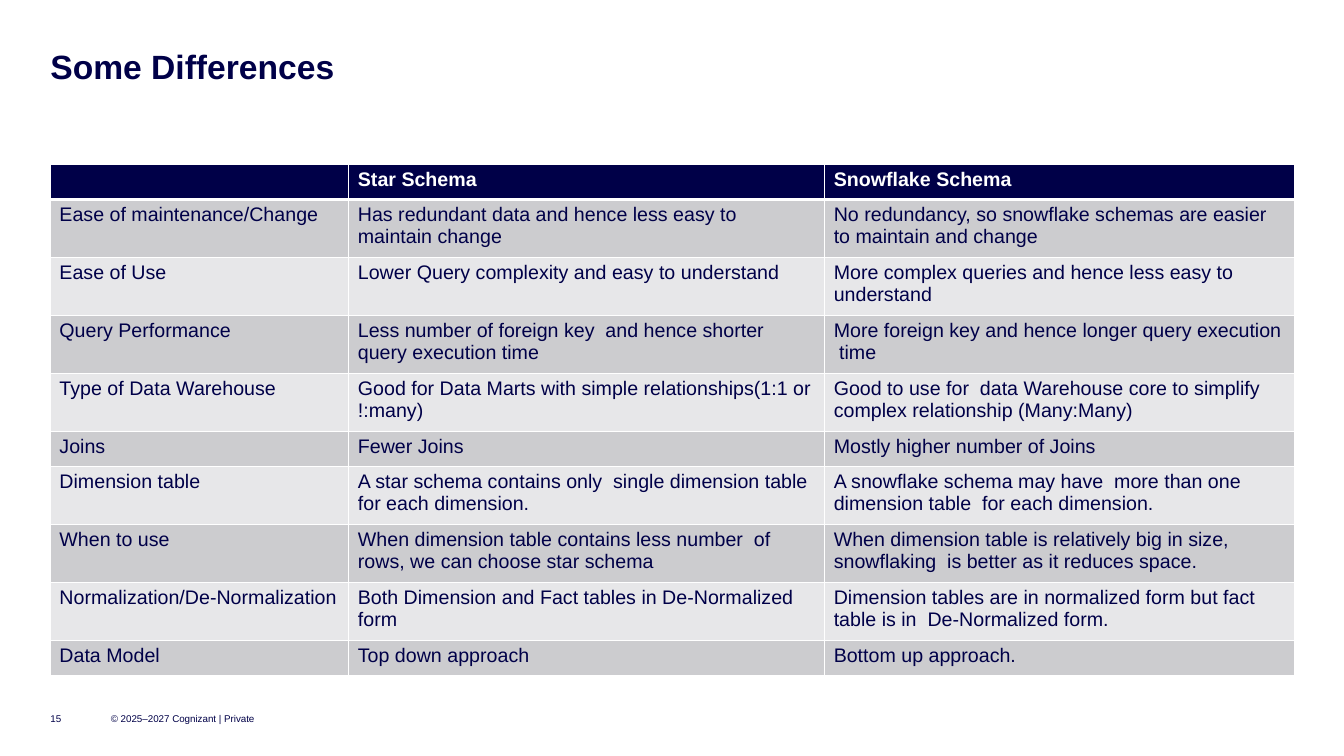
from lxml.etree import SubElement
from pptx import Presentation
from pptx.dml.color import RGBColor
from pptx.enum.text import MSO_ANCHOR as Anchor, MSO_AUTO_SIZE as AutoSize, PP_ALIGN as Align
from pptx.oxml.ns import qn
from pptx.util import Inches, Pt

NAVY = RGBColor(0x00, 0x00, 0x48)
WHITE = RGBColor(0xFF, 0xFF, 0xFF)
DARK_BAND = RGBColor(0xCC, 0xCC, 0xCF)
LIGHT_BAND = RGBColor(0xE7, 0xE7, 0xE9)
FONT = "Arial"

TITLE = "Some Differences"
HEADER = ("", "Star Schema", "Snowflake Schema")
DIFFERENCES = [
    ("Ease of maintenance/Change",
     "Has redundant data and hence less easy to maintain change",
     "No redundancy, so snowflake schemas are easier to maintain and change"),
    ("Ease of Use",
     "Lower Query complexity and easy to understand",
     "More complex queries and hence less easy to understand"),
    ("Query Performance",
     "Less number of foreign key  and hence shorter query execution time",
     "More foreign key and hence longer query execution  time"),
    ("Type of Data Warehouse",
     "Good for Data Marts with simple relationships(1:1 or !:many)",
     "Good to use for  data Warehouse core to simplify complex relationship (Many:Many)"),
    ("Joins", "Fewer Joins", "Mostly higher number of Joins"),
    ("Dimension table",
     "A star schema contains only  single dimension table for each dimension.",
     "A snowflake schema may have  more than one dimension table  for each dimension."),
    ("When to use",
     "When dimension table contains less number  of rows, we can choose star schema",
     "When dimension table is relatively big in size, snowflaking  is better as it reduces space."),
    ("Normalization/De-Normalization",
     "Both Dimension and Fact tables in De-Normalized form",
     "Dimension tables are in normalized form but fact  table is in  De-Normalized form."),
    ("Data Model", "Top down approach", "Bottom up approach."),
]
FOOTERS = [("© 2025–2027 Cognizant | Private", 1.1, 1.5), ("15", 0.5, 0.4)]

LEFT, TABLE_TOP = 0.5, 1.63
COLUMN_WIDTHS = (2.96, 4.72, 4.66)
ONE_LINE, TWO_LINES = 0.35, 0.575
ONE_LINE_ROWS = ("", "Joins", "Data Model")


def write(frame, text, size, color=NAVY, bold=False, line_spacing=None, space_after=None):
    para = frame.paragraphs[0]
    para.alignment = Align.LEFT
    if line_spacing:
        para.line_spacing = line_spacing
    if space_after:
        para.space_after = Pt(space_after)
    if not text:
        SubElement(para._p, qn("a:endParaRPr"), sz=str(size * 100))
        return
    span = para.add_run()
    span.text = text
    span.font.name = FONT
    span.font.size = Pt(size)
    span.font.bold = bold
    span.font.color.rgb = color


def clear_margins(frame):
    frame.margin_left = frame.margin_right = frame.margin_top = frame.margin_bottom = 0
    frame.word_wrap = True


def add_borders(cell, bottom):
    """Draw white cell edges, 1 pt wide except for the given top and bottom."""
    properties = cell._tc.get_or_add_tcPr()
    edges = (("a:lnL", 1), ("a:lnR", 1), ("a:lnT", 1), ("a:lnB", bottom))
    for position, (tag, width) in enumerate(edges):
        line = properties.makeelement(qn(tag), {"w": str(Pt(width))})
        fill = SubElement(line, qn("a:solidFill"))
        SubElement(fill, qn("a:srgbClr"), val=str(WHITE))
        properties.insert(position, line)


def add_title(page):
    title = page.shapes.title
    title.left, title.top = Inches(LEFT), Inches(0.5)
    title.width, title.height = Inches(12.33), Inches(0.36)
    frame = title.text_frame
    clear_margins(frame)
    frame.auto_size = AutoSize.NONE
    frame.vertical_anchor = Anchor.TOP
    write(frame, TITLE, 24, bold=True, line_spacing=0.9)


def add_differences(page):
    rows = [HEADER, *DIFFERENCES]
    heights = [ONE_LINE if row[0] in ONE_LINE_ROWS else TWO_LINES for row in rows]
    table = page.shapes.add_table(
        len(rows), len(HEADER), Inches(LEFT), Inches(TABLE_TOP),
        Inches(sum(COLUMN_WIDTHS)), Inches(sum(heights))).table
    for column, width in zip(table.columns, COLUMN_WIDTHS):
        column.width = Inches(width)
    for index, (row, height) in enumerate(zip(rows, heights)):
        table.rows[index].height = Inches(height)
        is_header = index == 0
        band = DARK_BAND if index % 2 else LIGHT_BAND
        for column, text in enumerate(row):
            cell = table.cell(index, column)
            cell.margin_left = cell.margin_right = Inches(0.09)
            cell.margin_top = cell.margin_bottom = Inches(0.04)
            cell.fill.solid()
            cell.fill.fore_color.rgb = NAVY if is_header else band
            add_borders(cell, bottom=3 if is_header else 1)
            write(cell.text_frame, text, 14,
                  color=WHITE if is_header else NAVY, bold=is_header)


def add_footers(page):
    for text, left, width in FOOTERS:
        box = page.shapes.add_textbox(Inches(left), Inches(7), Inches(width), Inches(0.25))
        clear_margins(box.text_frame)
        box.text_frame.vertical_anchor = Anchor.MIDDLE
        write(box.text_frame, text, 7, space_after=6)


def main():
    deck = Presentation()
    deck.slide_width, deck.slide_height = Inches(13.33), Inches(7.5)
    page = deck.slides.add_slide(deck.slide_layouts[5])
    add_title(page)
    add_differences(page)
    add_footers(page)
    deck.save("out.pptx")


if __name__ == "__main__":
    main()
